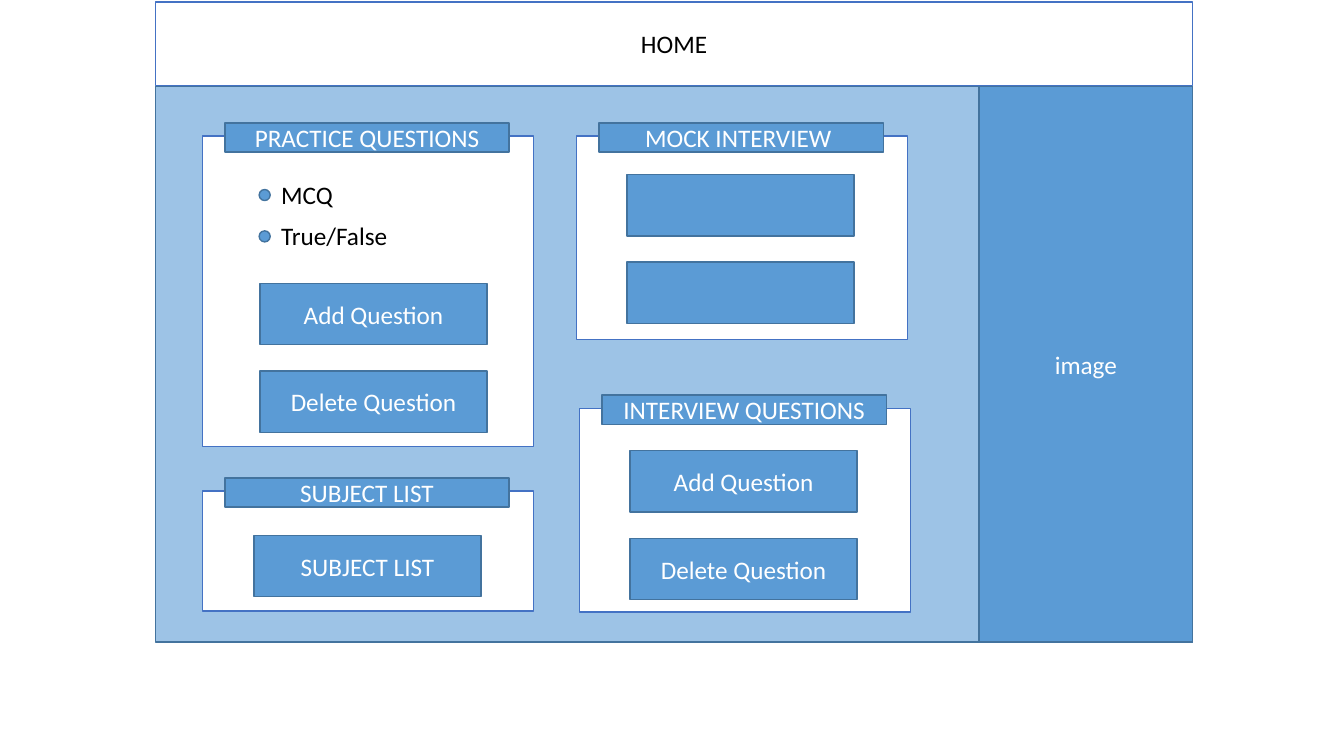
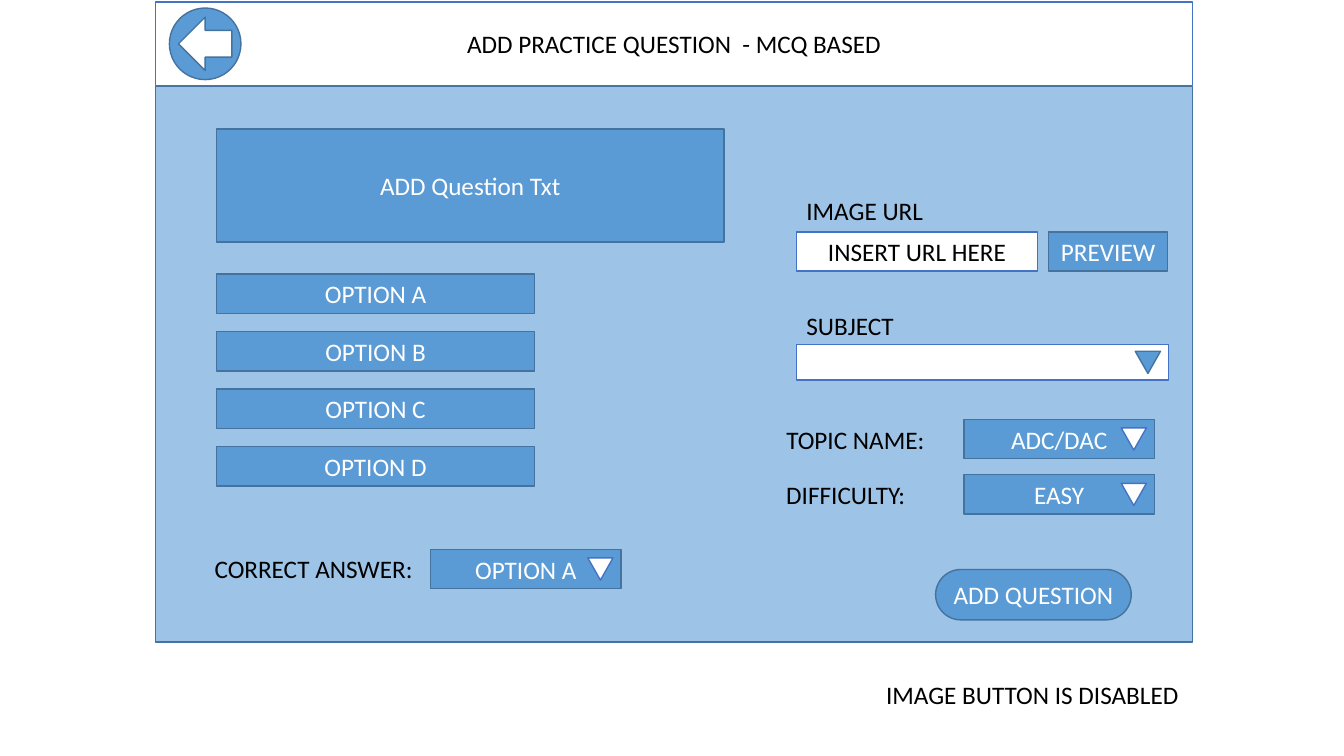
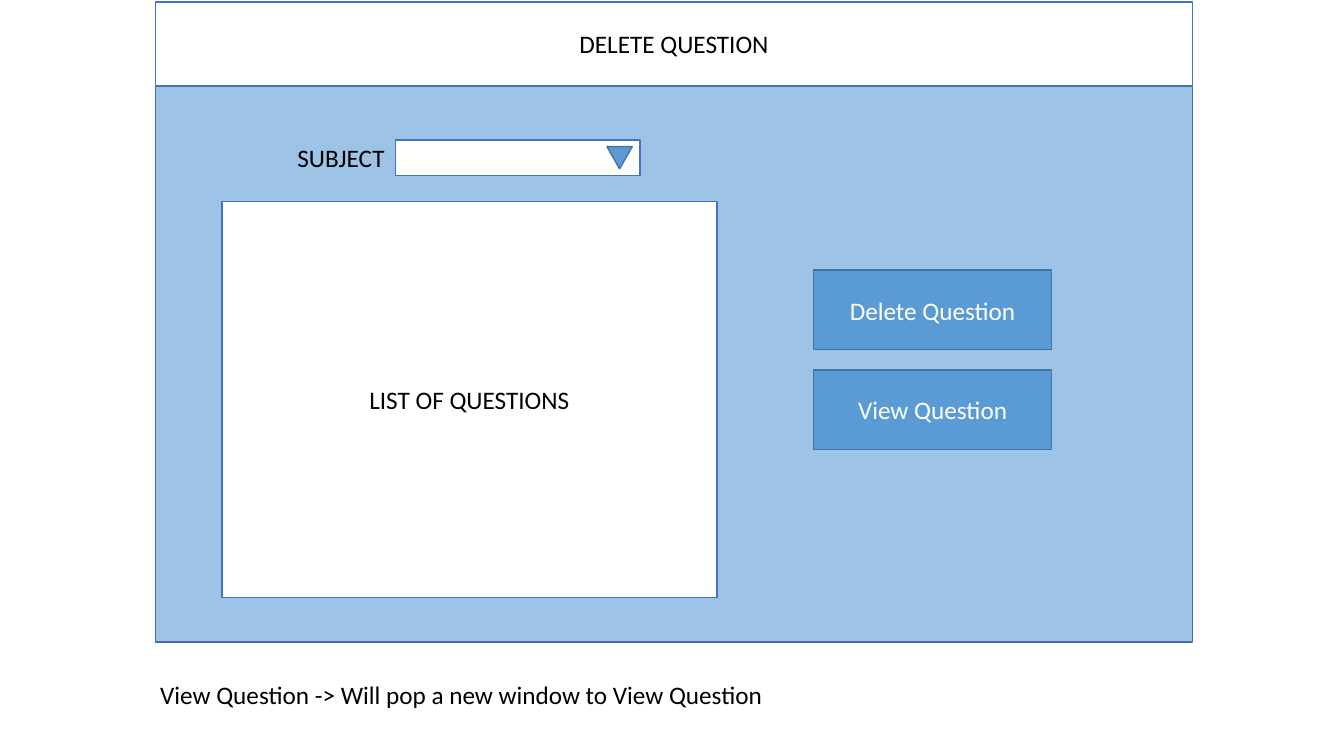
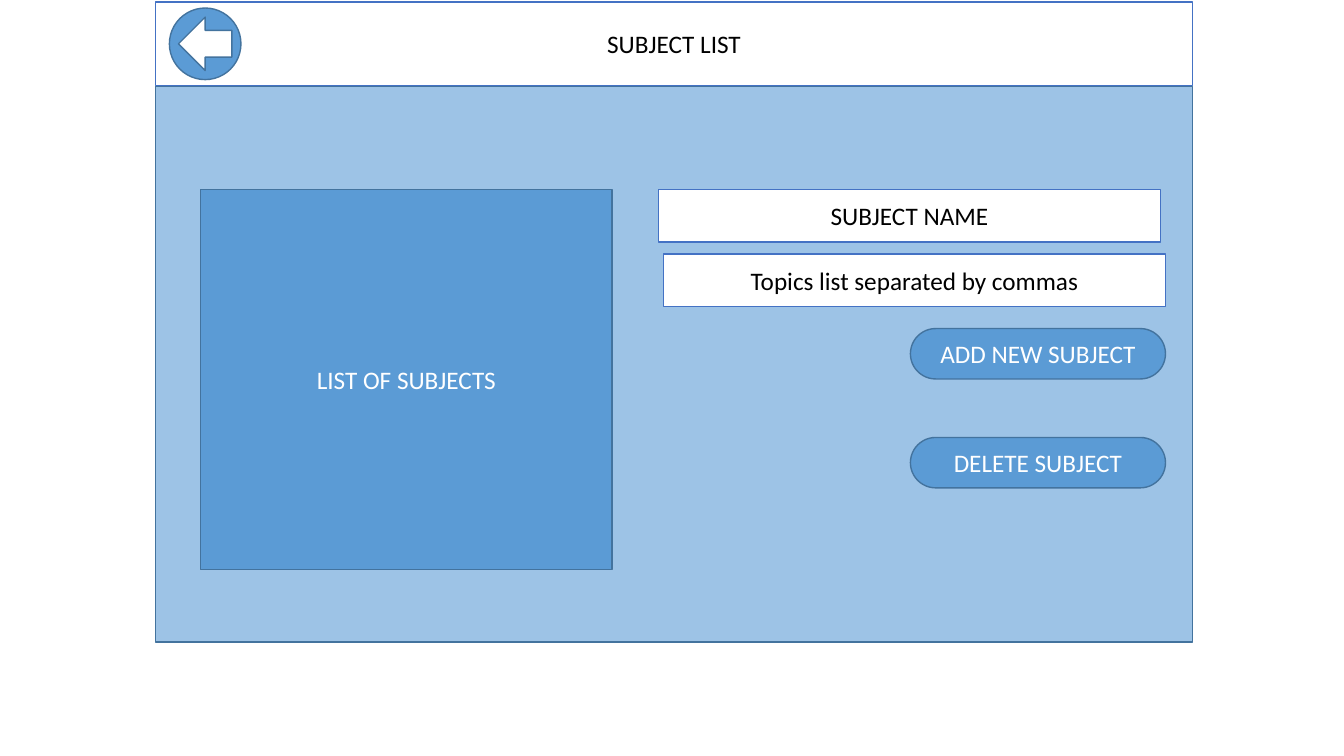
from typing import NamedTuple

from pptx import Presentation
from pptx.dml.color import RGBColor
from pptx.enum import shapes, text
from pptx.util import Inches, Pt

COLORS = {
    "screen": "9DC3E6",
    "button": "5B9BD5",
    "button_line": "43739E",
    "field_line": "4472C4",
    "white": "FFFFFF",
    "black": "000000",
}
STYLES = {
    "screen": ("screen", "button_line", "black"),
    "button": ("button", "button_line", "white"),
    "field": ("white", "field_line", "black"),
}
FONT = "Calibri"
FONT_SIZE = 18
TITLE_ONLY = 5
RECTANGLE = shapes.MSO_SHAPE.RECTANGLE
BUTTON_WIDTH, BUTTON_HEIGHT, BUTTON_STEP = 2.25, 0.61, 0.87
ROW_HEIGHT = 0.39
LABEL_HEIGHT = 0.4


class Box(NamedTuple):
    left: float
    top: float
    width: float
    height: float

    def inside(self, left, top, width, height):
        return Box(self.left + left, self.top + top, width, height)

    def lengths(self):
        return [Inches(value) for value in self]


HEADER = Box(1.54, 0.02, 10.29, 0.83)
SCREEN = Box(1.54, 0.86, 10.29, 5.51)


def color(name):
    return RGBColor.from_string(COLORS[name])


def write(shape, words, color_name, alignment):
    shape.text_frame.text = words
    paragraph = shape.text_frame.paragraphs[0]
    paragraph.alignment = alignment
    paragraph.font.name = FONT
    paragraph.font.size = Pt(FONT_SIZE)
    paragraph.font.color.rgb = color(color_name)


def paint(shape, style, words=""):
    fill, line, font = STYLES[style]
    shape.fill.solid()
    shape.fill.fore_color.rgb = color(fill)
    shape.line.color.rgb = color(line)
    shape.line.width = Pt(1)
    if words:
        shape.text_frame.vertical_anchor = text.MSO_ANCHOR.MIDDLE
        write(shape, words, font, text.PP_ALIGN.CENTER)


def add_block(slide, box, style, words="", kind=RECTANGLE):
    shape = slide.shapes.add_shape(kind, *box.lengths())
    shape.shadow.inherit = False
    paint(shape, style, words)
    return shape


def add_label(slide, box, words):
    label = slide.shapes.add_textbox(*box.lengths())
    label.text_frame.word_wrap = False
    label.text_frame.auto_size = text.MSO_AUTO_SIZE.SHAPE_TO_FIT_TEXT
    write(label, words, "black", text.PP_ALIGN.LEFT)


def add_pill(slide, box, words):
    pill = add_block(slide, box, "button", words, shapes.MSO_SHAPE.ROUNDED_RECTANGLE)
    pill.adjustments[0] = 0.5


def add_dropdown(slide, box, style, words=""):
    add_block(slide, box, style, words)
    arrow_style = "button" if style == "field" else "field"
    arrow_box = box.inside(box.width - 0.33, (box.height - 0.22) / 2, 0.25, 0.22)
    arrow = add_block(slide, arrow_box, arrow_style, kind=shapes.MSO_SHAPE.ISOSCELES_TRIANGLE)
    arrow.rotation = 180


def add_back_button(slide, header):
    circle = header.inside(0.14, 0.06, 0.71, 0.71)
    add_block(slide, circle, "button", kind=shapes.MSO_SHAPE.OVAL)
    arrow = add_block(slide, circle.inside(0.09, 0.09, 0.53, 0.53), "field",
                      kind=shapes.MSO_SHAPE.LEFT_ARROW)
    arrow.line.color.rgb = color("button_line")


def add_screen(presentation, title, back=False):
    slide = presentation.slides.add_slide(presentation.slide_layouts[TITLE_ONLY])
    header = slide.shapes.title
    header.left, header.top, header.width, header.height = HEADER.lengths()
    header.text_frame.auto_size = text.MSO_AUTO_SIZE.NONE
    paint(header, "field", title)
    add_block(slide, SCREEN, "screen")
    if back:
        add_back_button(slide, HEADER)
    return slide


def add_panel(slide, box, heading, buttons, button_left, button_top):
    add_block(slide, box, "field")
    for index, words in enumerate(buttons):
        top = button_top + index * BUTTON_STEP
        add_block(slide, box.inside(button_left, top, BUTTON_WIDTH, BUTTON_HEIGHT),
                  "button", words)
    add_block(slide, box.inside(0.22, -0.13, 2.82, 0.29), "button", heading)


def add_choices(slide, box, choices):
    for index, (words, width) in enumerate(choices):
        row = box.inside(0, index * 0.41, box.width, LABEL_HEIGHT)
        add_block(slide, row.inside(0, 0.15, 0.11, 0.11), "button", kind=shapes.MSO_SHAPE.OVAL)
        add_label(slide, row.inside(0.12, 0, width, LABEL_HEIGHT), words)


def add_home(presentation, screen):
    slide = add_screen(presentation, "HOME")
    add_block(slide, screen.inside(8.17, 0, 2.12, 5.51), "button", "image")
    edit_buttons = ["Add Question", "Delete Question"]
    practice = screen.inside(0.47, 0.49, 3.28, 3.08)
    add_panel(slide, practice, "PRACTICE QUESTIONS", edit_buttons, 0.57, 1.46)
    add_choices(slide, practice.inside(0.56, 0.38, 1.5, 0.81),
                [("MCQ", 0.72), ("True/False", 1.27)])
    add_panel(slide, screen.inside(4.21, 3.19, 3.28, 2.02),
              "INTERVIEW QUESTIONS", edit_buttons, 0.5, 0.42)
    add_panel(slide, screen.inside(0.47, 4.01, 3.28, 1.19),
              "SUBJECT LIST", ["SUBJECT LIST"], 0.51, 0.44)
    add_panel(slide, screen.inside(4.18, 0.49, 3.28, 2.02),
              "MOCK INTERVIEW ", ["", ""], 0.5, 0.38)


def add_answer_form(slide, box):
    add_block(slide, box.inside(0, 0, 5.03, 1.12), "button", "ADD Question Txt")
    for index, letter in enumerate("ABCD"):
        add_block(slide, box.inside(0, 1.44 + index * 0.57, 3.15, ROW_HEIGHT),
                  "button", f"OPTION {letter}")
    add_label(slide, box.inside(-0.12, 4.16, 2.24, LABEL_HEIGHT), "CORRECT ANSWER:")
    add_dropdown(slide, box.inside(2.12, 4.17, 1.89, ROW_HEIGHT), "button", "OPTION A")


def add_details_form(slide, box):
    add_label(slide, box.inside(0, 0, 1.37, LABEL_HEIGHT), "IMAGE URL")
    add_block(slide, box.inside(0, 0.41, 2.39, ROW_HEIGHT), "field", "INSERT URL HERE")
    add_block(slide, box.inside(2.5, 0.41, 1.18, ROW_HEIGHT), "button", "PREVIEW")
    add_label(slide, box.inside(0, 1.14, 1.08, LABEL_HEIGHT), "SUBJECT")
    add_dropdown(slide, box.inside(0, 1.53, 3.69, 0.35), "field")
    rows = [("TOPIC NAME:", 1.58, "ADC/DAC"), ("DIFFICULTY:", 1.4, "EASY")]
    for index, (name, width, value) in enumerate(rows):
        top = 2.27 + index * 0.55
        add_label(slide, box.inside(-0.2, top, width, LABEL_HEIGHT), name)
        add_dropdown(slide, box.inside(1.66, top, 1.89, ROW_HEIGHT), "button", value)
    add_pill(slide, box.inside(1.38, 3.76, 1.94, 0.5), "ADD QUESTION")


def add_practice_question(presentation, screen):
    slide = add_screen(presentation, "ADD PRACTICE QUESTION  - MCQ BASED", back=True)
    add_answer_form(slide, screen.inside(0.61, 0.42, 5.03, 4.56))
    add_details_form(slide, screen.inside(6.36, 1.03, 3.69, 4.26))
    add_label(slide, screen.inside(7.15, 5.83, 3.13, LABEL_HEIGHT), "IMAGE BUTTON IS DISABLED")


def add_delete_question(presentation, screen):
    slide = add_screen(presentation, "DELETE QUESTION")
    for index, words in enumerate(["Delete Question", "View Question"]):
        add_block(slide, screen.inside(6.53, 1.82 + index * 0.99, 2.36, 0.79), "button", words)
    add_label(slide, screen.inside(1.31, 0.5, 1.08, LABEL_HEIGHT), "SUBJECT")
    add_dropdown(slide, screen.inside(2.38, 0.53, 2.43, 0.35), "field")
    add_block(slide, screen.inside(0.66, 1.14, 4.91, 3.93), "field", "LIST OF QUESTIONS")
    add_label(slide, screen.inside(-0.05, 5.83, 6.32, LABEL_HEIGHT),
              "View Question -> Will pop a new window to View Question")


def add_subject_list(presentation, screen):
    slide = add_screen(presentation, "SUBJECT LIST", back=True)
    add_block(slide, screen.inside(0.45, 1.02, 4.08, 3.77), "button", "LIST OF SUBJECTS")
    add_block(slide, screen.inside(4.99, 1.02, 4.98, 0.52), "field", "SUBJECT NAME")
    add_block(slide, screen.inside(5.04, 1.66, 4.98, 0.52), "field",
              "Topics list separated by commas")
    for index, words in enumerate(["ADD NEW SUBJECT", "DELETE SUBJECT"]):
        add_pill(slide, screen.inside(7.49, 2.4 + index * 1.08, 2.53, 0.5), words)


def main():
    presentation = Presentation()
    presentation.slide_width = Inches(13.33)
    presentation.slide_height = Inches(7.5)
    for add_slide in (add_home, add_practice_question, add_delete_question, add_subject_list):
        add_slide(presentation, SCREEN)
    presentation.save("out.pptx")


if __name__ == "__main__":
    main()
